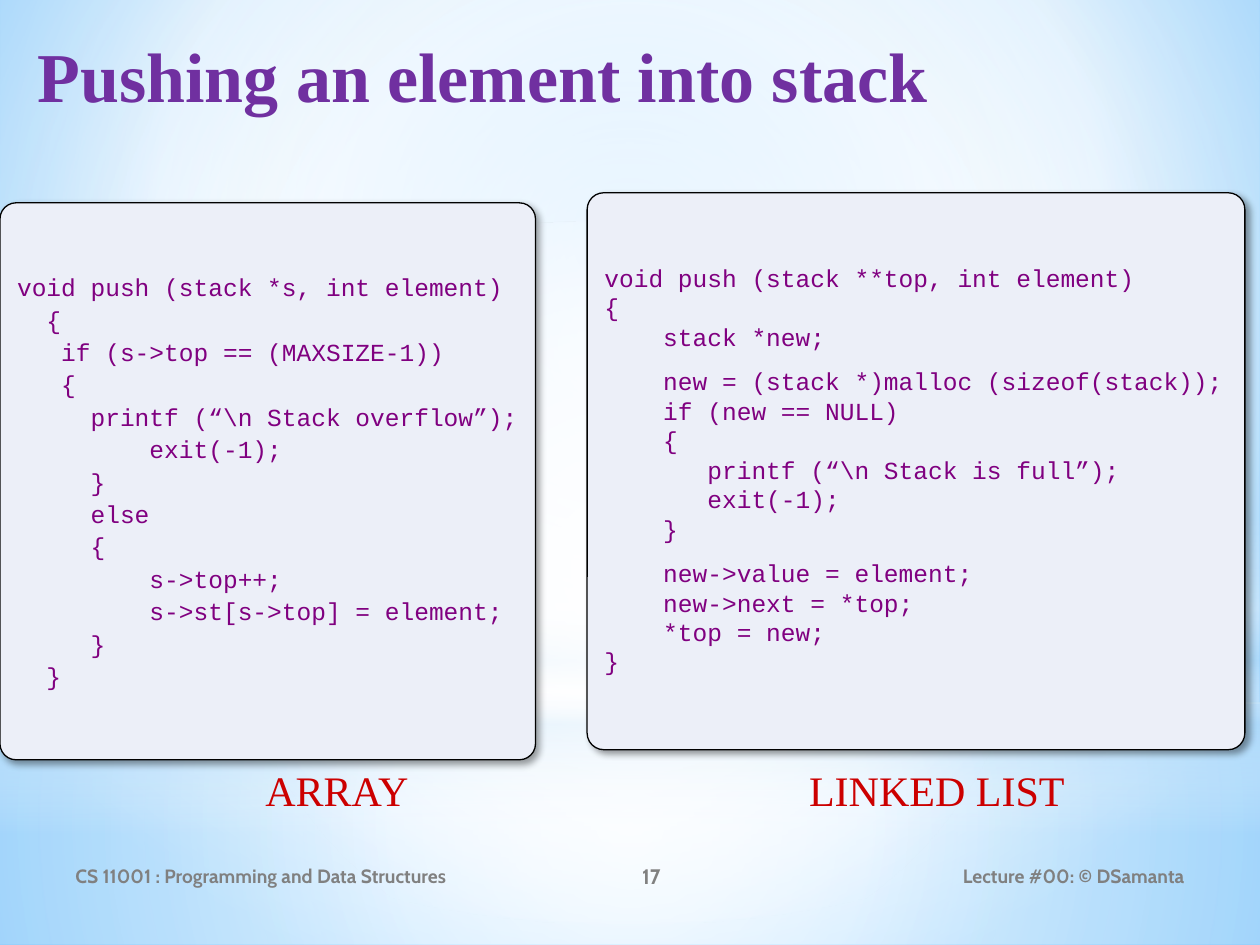
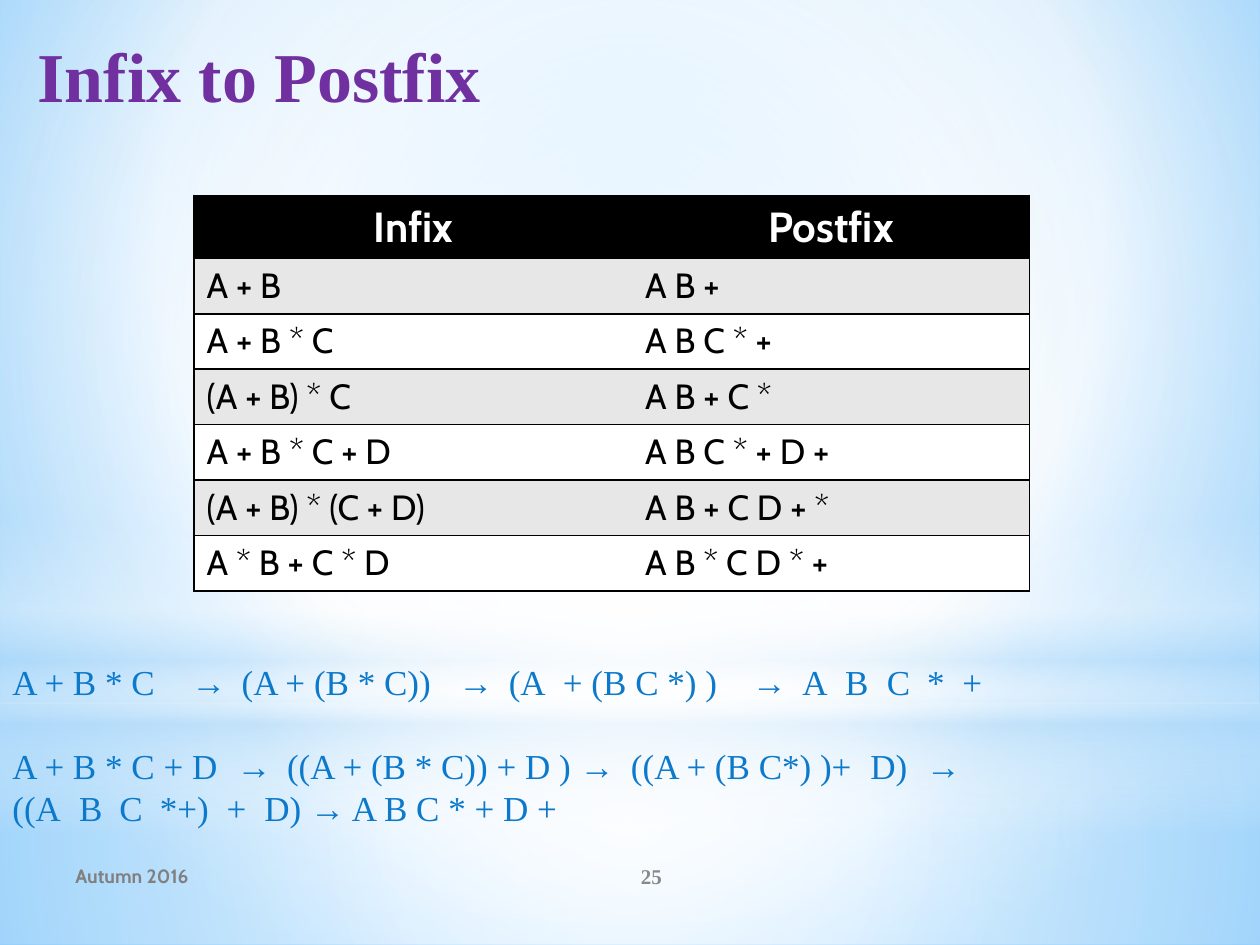
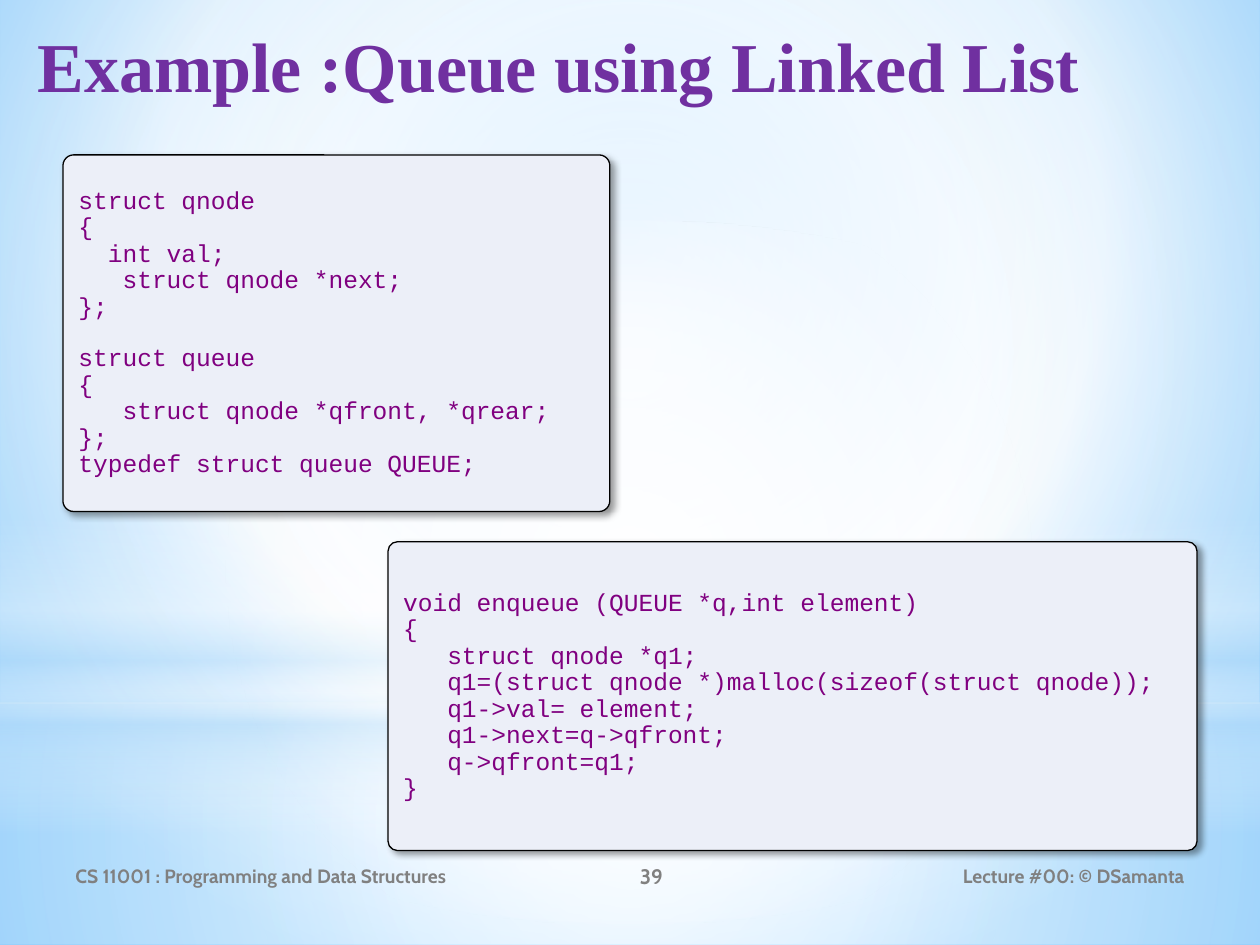
from lxml import etree
from pptx import Presentation
from pptx.dml.color import RGBColor
from pptx.enum.shapes import MSO_SHAPE
from pptx.enum.text import MSO_ANCHOR, PP_ALIGN
from pptx.oxml import parse_xml
from pptx.oxml.ns import nsdecls, qn
from pptx.util import Pt

PX = 9144  # 100 px to the inch
LEFT, CENTER, RIGHT = PP_ALIGN.LEFT, PP_ALIGN.CENTER, PP_ALIGN.RIGHT
TOP, MIDDLE = MSO_ANCHOR.TOP, MSO_ANCHOR.MIDDLE
RECTANGLE, ELLIPSE = MSO_SHAPE.RECTANGLE, MSO_SHAPE.OVAL
ROUNDED = MSO_SHAPE.ROUNDED_RECTANGLE
TITLE_ONLY = 5
PLAIN_TABLE_STYLE = "{2D5ABB26-0587-4C30-8999-92F81FD0307C}"

COLORS = {
    "white": "FFFFFF", "black": "000000", "sky": "9ED5FF", "azure": "5BB9FF",
    "mist": "B4DCFA", "title": "7030A0", "code": "800080", "panel": "ECEFF8",
    "label": "CC0000", "steps": "0D79CA", "footer": "808080",
    "number": "898989", "band": "E7E7E7",
}
STYLES = {  # font, size, bold, colour
    "title": ("Times New Roman", 40, True, "title"),
    "code": ("Courier New", 14, False, "code"),
    "label": ("Times New Roman", 24, False, "label"),
    "steps": ("Times New Roman", 20, False, "steps"),
    "footer": ("Cabin", 11, True, "footer"),
    "page": ("Cabin", 12, True, "footer"),
    "serif page": ("Times New Roman", 12, True, "number"),
    "table head": ("Cabin", 24, True, "white"),
    "table body": ("Cabin", 20, False, "black"),
}


def write(frame, lines, style, align=LEFT, anchor=TOP, gap=0, **spacing):
    """Fill a text frame; an empty line becomes extra space before the next one."""
    frame.word_wrap = True
    frame.vertical_anchor = anchor
    font_name, size, bold, color = STYLES[style]
    paragraph, extra = None, 0
    for line in lines:
        if not line:
            extra = gap
            continue
        first = paragraph is None
        paragraph = frame.paragraphs[0] if first else frame.add_paragraph()
        paragraph.alignment = align
        paragraph.line_spacing = spacing.get("line_spacing")
        if not first:
            paragraph.space_before = Pt(spacing.get("before", 0) + extra)
        extra = 0
        run = paragraph.add_run()
        run.text = line
        for name, value in {"name": font_name, "size": Pt(size), "bold": bold}.items():
            setattr(run.font, name, value)
        run.font.color.rgb = RGBColor.from_string(COLORS[color])


def set_gradient(owner, fill, stops, focus):
    """Give a gradient with (position, colour, opacity) stops; without focus it runs down."""
    fill.solid()
    solid = owner.xpath(".//a:solidFill")[0]
    stop_xml = "".join(
        f'<a:gs pos="{position * 1000}"><a:srgbClr val="{COLORS[color]}">'
        f'<a:alpha val="{opacity * 1000}"/></a:srgbClr></a:gs>'
        for position, color, opacity in stops)
    direction = '<a:lin ang="5400000" scaled="0"/>'
    if focus:
        sides = " ".join(f'{side}="{value * 1000}"' for side, value in zip("ltrb", focus))
        direction = f'<a:path path="circle"><a:fillToRect {sides}/></a:path>'
    solid.getparent().replace(solid, parse_xml(
        f'<a:gradFill {nsdecls("a")} rotWithShape="1"><a:gsLst>{stop_xml}</a:gsLst>'
        f'{direction}</a:gradFill>'))


presentation = Presentation()
presentation.slide_width, presentation.slide_height = 1000 * PX, 750 * PX
layout = presentation.slide_layouts[TITLE_ONLY]
for placeholder in list(layout.placeholders)[1:]:
    placeholder.element.getparent().remove(placeholder.element)

# Slides with their titles and footers
COURSE, LECTURE = "CS 11001 : Programming and Data Structures", "Lecture #00: © DSamanta"
PAGES = [
    ("Pushing an element into stack", 21, COURSE, "17", "page", LECTURE),
    ("Infix to Postfix", 21, "Autumn 2016", "25", "serif page", None),
    ("Example :Queue using Linked List", 13, COURSE, "39", "page", LECTURE),
]
slides = []
for title_text, title_top, left_footer, number, number_style, right_footer in PAGES:
    slide = presentation.slides.add_slide(layout)
    slides.append(slide)
    title = slide.shapes.title
    title.left, title.top, title.width, title.height = (
        v * PX for v in (20, title_top, 953, 125))
    write(title.text_frame, [title_text], "title")
    footers = [
        (left_footer, 50, 367, "footer", LEFT),
        (number, 417, 200, number_style, CENTER),
        (right_footer, 675, 275, "footer", RIGHT),
    ]
    for text, left, width, style, align in footers:
        if text:
            footer = slide.shapes.add_textbox(left * PX, 675 * PX, width * PX, 40 * PX)
            write(footer.text_frame, [text], style, align, MIDDLE)
push_slide, postfix_slide, queue_slide = slides

# Backdrop shared through the layout
set_gradient(layout.element, layout.background.fill,
             [(0, "sky", 100), (60, "white", 100), (100, "azure", 100)], (20, 10, 20, 60))
MIDPOINT = (50, 50, 50, 50)
BACKDROP = [
    (RECTANGLE, 558, 192, MIDPOINT, [(0, "white", 91), (37, "white", 76), (100, "mist", 79)]),
    (RECTANGLE, 0, 558, MIDPOINT, [(0, "white", 89), (48, "white", 62), (100, "mist", 79)]),
    (RECTANGLE, 412, 250, None, [(0, "white", 0), (29, "white", 30), (45, "mist", 40),
                                 (55, "white", 26), (65, "mist", 60), (100, "white", 0)]),
    (ELLIPSE, 175, 558, MIDPOINT, [(0, "white", 100), (56, "white", 0)]),
]
for position, (kind, top, height, focus, stops) in enumerate(BACKDROP, start=2):
    glow = push_slide.shapes.add_shape(kind, 0, top * PX, 1000 * PX, height * PX)
    glow.shadow.inherit = False
    glow.line.fill.background()
    set_gradient(glow.element, glow.fill, stops, focus)
    layout.shapes.element.insert(position, glow.element)

# Code panels
ARRAY_PUSH = """void push (stack *s, int element)
  {
   if (s->top == (MAXSIZE-1))
   {
     printf (“\\n Stack overflow”);
         exit(-1);
     }
     else
     {
         s->top++;
         s->st[s->top] = element;
     }
  }"""
LIST_PUSH = """void push (stack **top, int element)
{
    stack *new;

    new = (stack *)malloc (sizeof(stack));
    if (new == NULL)
    {
       printf (“\\n Stack is full”);
       exit(-1);
    }

    new->value = element;
    new->next = *top;
    *top = new;
}"""
QUEUE_TYPES = """struct qnode
{
  int val;
   struct qnode *next;
};

struct queue
{
   struct qnode *qfront, *qrear;
};
typedef struct queue QUEUE;"""
ENQUEUE = """void enqueue (QUEUE *q,int element)
{
   struct qnode *q1;
   q1=(struct qnode *)malloc(sizeof(struct qnode));
   q1->val= element;
   q1->next=q->qfront;
   q->qfront=q1;
}"""
PANELS = [
    (push_slide, (0, 161, 425, 442), ARRAY_PUSH, {"before": 1.7}),
    (push_slide, (466, 153, 522, 442), LIST_PUSH,
     {"before": 1.7, "gap": 8.6, "line_spacing": 0.9}),
    (queue_slide, (50, 123, 434, 283), QUEUE_TYPES, {"gap": 14.3, "line_spacing": 0.9}),
    (queue_slide, (308, 430, 642, 245), ENQUEUE, {"line_spacing": 0.9}),
]
for slide, bounds, code, spacing in PANELS:
    panel = slide.shapes.add_shape(ROUNDED, *(v * PX for v in bounds))
    panel.adjustments[0] = 0.03
    panel.fill.solid()
    panel.fill.fore_color.rgb = RGBColor.from_string(COLORS["panel"])
    panel.line.color.rgb = RGBColor.from_string(COLORS["black"])
    panel.line.width = Pt(0.75)
    panel.shadow.inherit = False
    panel.element.xpath(".//a:effectLst")[0].append(parse_xml(
        f'<a:outerShdw {nsdecls("a")} blurRad="{Pt(4)}" dist="{Pt(3)}" dir="2700000" '
        f'algn="tl" rotWithShape="0"><a:srgbClr val="{COLORS["black"]}">'
        '<a:alpha val="40000"/></a:srgbClr></a:outerShdw>'))
    write(panel.text_frame, code.split("\n"), "code", anchor=MIDDLE, **spacing)

for text, left, width in [("ARRAY", 176, 183), ("LINKED LIST", 617, 253)]:
    label = push_slide.shapes.add_textbox(left * PX, 602 * PX, width * PX, 50 * PX)
    write(label.text_frame, [text], "label", CENTER)

# Infix and postfix table
EXPRESSIONS = [
    ("Infix", "Postfix"),
    ("A + B", "A B +"),
    ("A + B * C", "A B C * +"),
    ("(A + B) * C", "A B + C *"),
    ("A + B * C + D", "A B C * + D +"),
    ("(A + B) * (C + D)", "A B + C D + *"),
    ("A * B + C * D", "A B * C D * +"),
]
table_frame = postfix_slide.shapes.add_table(
    len(EXPRESSIONS), 2, 154 * PX, 155 * PX, 663 * PX, 310 * PX)
table_frame.element.xpath(".//a:tableStyleId")[0].text = PLAIN_TABLE_STYLE
table = table_frame.table
for column, width in zip(table.columns, (348, 315)):
    column.width = width * PX
for row_index, expressions in enumerate(EXPRESSIONS):
    is_head = row_index == 0
    table.rows[row_index].height = (50 if is_head else 44) * PX
    fill_color = "black" if is_head else ("white", "band")[row_index % 2]
    for column_index, text in enumerate(expressions):
        cell = table.cell(row_index, column_index)
        cell.fill.solid()
        cell.fill.fore_color.rgb = RGBColor.from_string(COLORS[fill_color])
        write(cell.text_frame, [text], "table head" if is_head else "table body",
              CENTER if is_head else LEFT)
for index, properties in enumerate(table_frame.element.xpath(".//a:tcPr")):
    outer_side = ("lnL", "lnR")[index % 2]
    for order, side in enumerate((outer_side, "lnT", "lnB")):
        properties.insert(order, parse_xml(
            f'<a:{side} {nsdecls("a")} w="{Pt(1)}"><a:solidFill>'
            f'<a:srgbClr val="{COLORS["black"]}"/></a:solidFill></a:{side}>'))

# Conversion steps, each line with its tab stops
STEPS = [
    ("A + B * C\t→\t(A + (B * C))\t→\t(A\t+ (B C *) )\t→\tA\tB\tC\t*\t+",
     (142, 182, 354, 394, 437, 587, 627, 661, 694, 726, 754)),
    ("", ()),
    ("A + B * C + D\t→\t((A + (B * C)) + D ) →\t((A + (B C*) )+\tD)\t→",
     (178, 218, 491, 681, 725)),
    ("((A\tB\tC\t*+)\t+\tD) → A B C * + D +", (53, 85, 117, 170, 200)),
]
steps = postfix_slide.shapes.add_textbox(0, 519 * PX, 846 * PX, 145 * PX)
write(steps.text_frame, [text for text, _ in STEPS], "steps", gap=24)
tab_rows = [stops for text, stops in STEPS if text]
for properties, stops in zip(steps.element.xpath(".//a:pPr"), tab_rows):
    tab_list = etree.SubElement(properties, qn("a:tabLst"))
    for stop in stops:
        etree.SubElement(tab_list, qn("a:tab"), pos=str(stop * PX), algn="l")

presentation.save("out.pptx")
